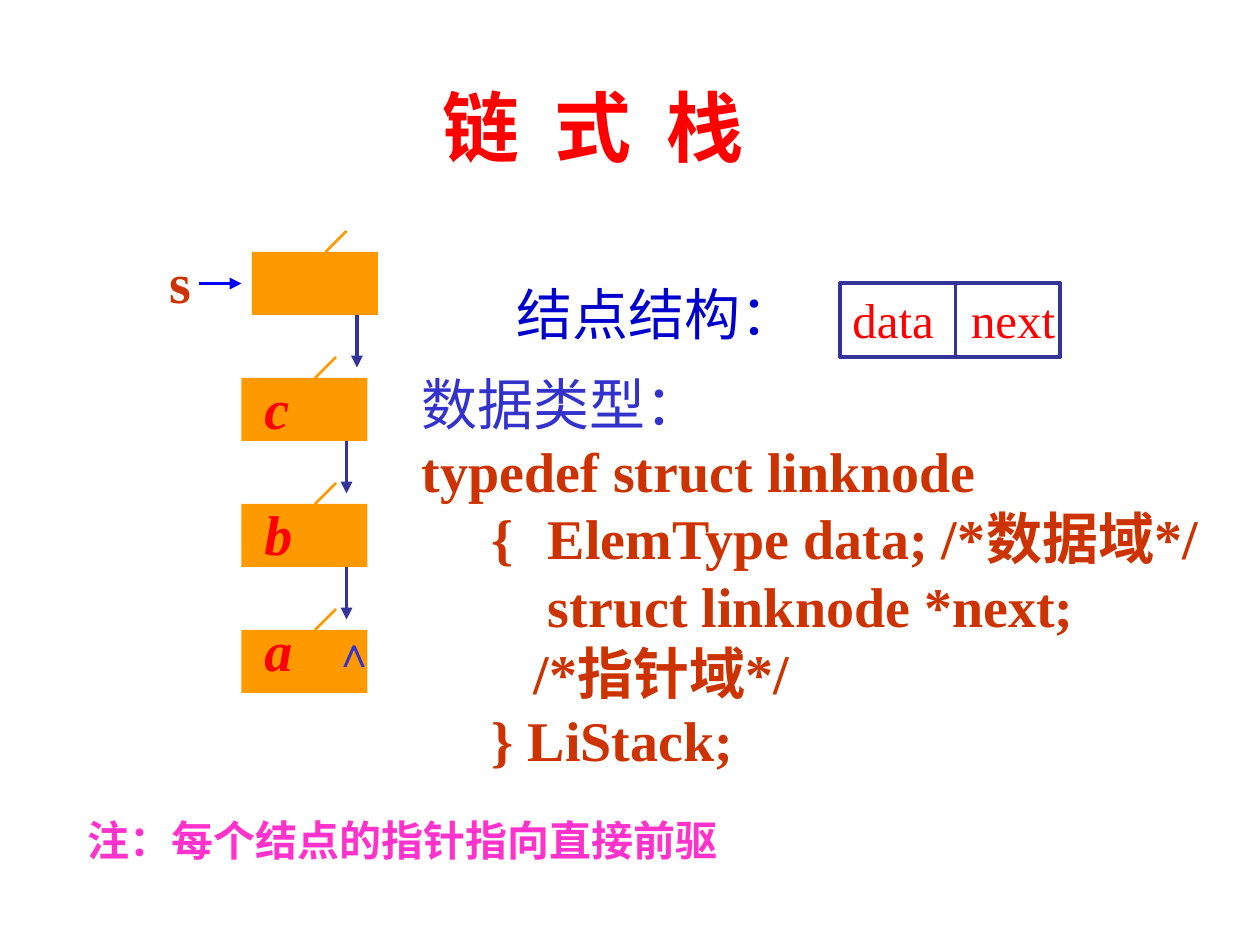
"""Build the linked stack slide on a grid of 120 columns by 90 rows."""
import pptx
import pptx.dml.color
import pptx.enum.shapes
import pptx.enum.text
import pptx.oxml.ns
import pptx.util
from lxml import etree

COLORS = {
    "title": "FF0000",
    "note": "FF33CC",
    "heading": "0000CC",
    "type": "3333CC",
    "code": "CC3300",
    "frame": "333399",
    "pointer": "0000FF",
    "node": "FF9900",
}
RGB = {k: pptx.dml.color.RGBColor.from_string(v) for k, v in COLORS.items()}
qn = pptx.oxml.ns.qn

prs = pptx.Presentation()
prs.slide_width, prs.slide_height = pptx.util.Inches(10), pptx.util.Inches(7.5)
U = prs.slide_width / 120
s = prs.slides.add_slide(prs.slide_layouts[6])


def add_text(box, lines, size, color, bold=False, italic=False, wrap=False,
             font="Times New Roman", tab=None):
    sp = s.shapes.add_textbox(*(round(v * U) for v in box))
    tf = sp.text_frame
    tf.word_wrap = wrap
    for i, line in enumerate(lines):
        p = tf.paragraphs[0] if i == 0 else tf.add_paragraph()
        p.text = line
        if tab and "\t" in line:
            tabs = etree.SubElement(p._p.get_or_add_pPr(), qn("a:tabLst"))
            etree.SubElement(tabs, qn("a:tab"), pos=str(round(tab * U)), algn="l")
        p.font.name, p.font.size = font, pptx.util.Pt(size)
        p.font.bold, p.font.italic = bold, italic
        p.font.color.rgb = RGB[color]
    return tf


def add_line(x1, y1, x2, y2, color, width=2.25, arrow=False):
    ends = (round(v * U) for v in (x1, y1, x2, y2))
    c = s.shapes.add_connector(pptx.enum.shapes.MSO_CONNECTOR.STRAIGHT, *ends)
    c.line.color.rgb, c.line.width = RGB[color], pptx.util.Pt(width)
    if arrow:
        etree.SubElement(c.line._get_or_add_ln(), qn("a:tailEnd"), type="triangle")
    etree.SubElement(c._element.spPr, qn("a:effectLst"))


tf = add_text((16, 7, 81, 10), ["链 式 栈"], 44, "title", bold=True, wrap=True,
              font="Noto Sans CJK SC")
tf.vertical_anchor = pptx.enum.text.MSO_ANCHOR.MIDDLE
p = tf.paragraphs[0]
p.alignment = pptx.enum.text.PP_ALIGN.CENTER
rPr = p.runs[0].font._element
rPr.set("spc", "500")
etree.SubElement(rPr, qn("a:ea"), typeface="Noto Sans CJK SC")

add_text((7.2, 77, 62.4, 6), ["注：每个结点的指针指向直接前驱"], 24, "note", bold=True)
add_text((48, 26, 29, 7.7), ["结点结构："], 32, "heading")

sp = s.shapes.add_shape(pptx.enum.shapes.MSO_SHAPE.RECTANGLE,
                        *(round(v * U) for v in (80, 27, 21, 7)))
sp.shadow.inherit = False
sp.fill.background()
sp.line.color.rgb, sp.line.width = RGB["frame"], pptx.util.Pt(2.25)
add_line(91, 27, 91, 34, "frame")
add_text((80, 27, 22.7, 6.8), ["data\tnext"], 28, "title", tab=11.3)

code = [
    "数据类型：",
    "typedef struct linknode",
    "     {\tElemType data; /*数据域*/",
    "         struct linknode *next;",
    "        /*指针域*/",
    "     } LiStack;",
]
tf = add_text((39, 34.6, 79.2, 39.6), code, 32, "code", bold=True, tab=12)
p = tf.paragraphs[0]
p.font.bold, p.font.color.rgb = False, RGB["type"]

add_text((15, 23, 5, 7.7), ["s"], 32, "code", bold=True, wrap=True)
add_line(19, 27, 23, 27, "pointer", arrow=True)

nodes = [("", 24, 0), ("c", 23, 35), ("b", 23, 47), ("a", 23, 58)]
for i, (label, left, label_top) in enumerate(nodes):
    top = 24 + 12 * i
    sp = s.shapes.add_shape(pptx.enum.shapes.MSO_SHAPE.RECTANGLE,
                            *(round(v * U) for v in (left, top, 12, 6)))
    sp.shadow.inherit = False
    sp.fill.solid()
    sp.fill.fore_color.rgb = RGB["node"]
    sp.line.fill.background()
    add_line(left + 7, top, left + 9, top - 2, "node", 1.5)
    if i < len(nodes) - 1:
        add_line(left + 10, top + 6, left + 10, top + 11, "frame", arrow=True)
    if label:
        add_text((24, label_top, 5, 7.7), [label], 32, "title", bold=True, italic=True)
add_text((30.6, 59, 3.7, 6), ["∧"], 24, "type", bold=True, wrap=True, font="Arial")

prs.save("out.pptx")
